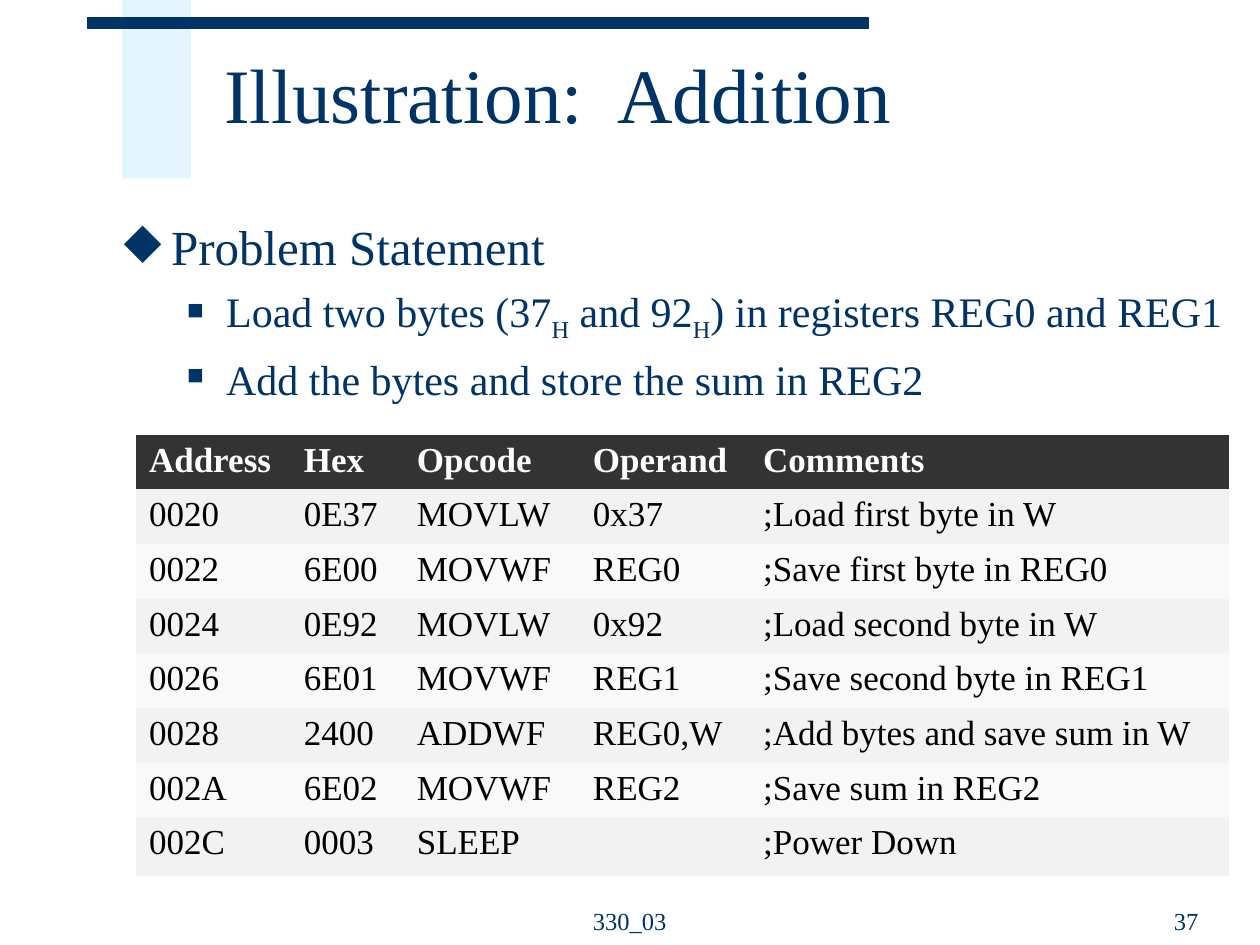
"""Build the addition illustration slide with its problem statement and program table."""
from lxml import etree
from pptx import Presentation
from pptx import util as u
from pptx.dml.color import RGBColor
from pptx.enum import shapes, text
from pptx.oxml.ns import qn

FONT = "Times New Roman"
COLORS = {
    "navy": "003366", "pale": "CCECFF", "header": "333333", "header_text": "FFFFFF",
    "cell_text": "000000", "odd": "F2F2F2", "even": "F9F9F9",
}
TITLE = "Illustration:  Addition"
STATEMENT = [
    (0, ["Problem Statement"]),
    (1, ["Load two bytes (37", "H", " and 92", "H", ") in registers REG0 and REG1"]),
    (1, ["Add the bytes and store the sum in REG2"]),
]
LEVELS = [
    {"size": 28, "before": 7, "margin": 0.95, "hanging": 0.95, "bullet": "◆", "scale": 100},
    {"size": 24, "before": 6, "margin": 2.06, "hanging": 0.79, "bullet": "■", "scale": 55},
]
PROGRAM = [
    ("Address", "Hex", "Opcode", "Operand", "Comments"),
    ("0020", "0E37", "MOVLW", "0x37", ";Load first byte in W"),
    ("0022", "6E00", "MOVWF", "REG0", ";Save first byte in REG0"),
    ("0024", "0E92", "MOVLW", "0x92", ";Load second byte in W"),
    ("0026", "6E01", "MOVWF", "REG1", ";Save second byte in REG1"),
    ("0028", "2400", "ADDWF", "REG0,W", ";Add bytes and save sum in W"),
    ("002A", "6E02", "MOVWF", "REG2", ";Save sum in REG2"),
    ("002C", "0003", "SLEEP", "", ";Power Down"),
]
COLUMN_WIDTHS = [3.12, 2.28, 3.55, 3.43, 9.64]
ROW_HEIGHT, LAST_ROW_HEIGHT = 1.1, 1.18
FOOTERS = [
    ("330_03", (10.37, 17.71, 4.65, 1.27), text.PP_ALIGN.CENTER),
    ("37", (18.31, 17.71, 6.1, 1.27), text.PP_ALIGN.RIGHT),
]


def color(name):
    return RGBColor.from_string(COLORS[name])


def lengths(box):
    return [u.Cm(value) for value in box]


def format_runs(paragraph, size, color_name="navy", bold=False):
    for run in paragraph.runs:
        run.font.name = FONT
        run.font.size = u.Pt(size)
        run.font.bold = bold
        run.font.color.rgb = color(color_name)


def add_bar(slide, box, color_name, opacity=100):
    shape = slide.shapes.add_shape(shapes.MSO_SHAPE.RECTANGLE, *lengths(box))
    shape.shadow.inherit = False
    shape.fill.solid()
    shape.fill.fore_color.rgb = color(color_name)
    shape.line.fill.background()
    if opacity < 100:
        fill_color = shape.fill._xPr.find(qn("a:solidFill"))[0]
        etree.SubElement(fill_color, qn("a:alpha"), val=str(opacity * 1000))
    return shape


def add_text_box(slide, box, anchor):
    frame = slide.shapes.add_textbox(*lengths(box)).text_frame
    frame.word_wrap = True
    frame.vertical_anchor = anchor
    return frame


def add_line(slide, content, box, anchor, size, alignment):
    frame = add_text_box(slide, box, anchor)
    frame.text = content
    paragraph = frame.paragraphs[0]
    paragraph.alignment = alignment
    format_runs(paragraph, size)
    return paragraph


def add_bullet(paragraph, level):
    properties = paragraph._p.get_or_add_pPr()
    properties.set("marL", str(u.Cm(level["margin"])))
    properties.set("indent", str(-u.Cm(level["hanging"])))
    bullet_color = etree.SubElement(properties, qn("a:buClr"))
    etree.SubElement(bullet_color, qn("a:srgbClr"), val=COLORS["navy"])
    etree.SubElement(properties, qn("a:buSzPct"), val=str(level["scale"] * 1000))
    etree.SubElement(properties, qn("a:buChar"), char=level["bullet"])


def add_statement(slide, box):
    frame = add_text_box(slide, box, text.MSO_ANCHOR.TOP)
    for index, (depth, parts) in enumerate(STATEMENT):
        level = LEVELS[depth]
        paragraph = frame.add_paragraph() if index else frame.paragraphs[0]
        paragraph.level = depth
        paragraph.space_before = u.Pt(level["before"])
        add_bullet(paragraph, level)
        for part in parts:
            paragraph.add_run().text = part
        format_runs(paragraph, level["size"])
        for subscript in paragraph.runs[1::2]:
            subscript.font._element.set("baseline", "-25000")


def clear_borders(cell):
    properties = cell._tc.get_or_add_tcPr()
    for position, side in enumerate(("lnL", "lnR", "lnT", "lnB")):
        border = etree.Element(qn(f"a:{side}"), w="0")
        etree.SubElement(border, qn("a:noFill"))
        properties.insert(position, border)


def add_program(slide, left, top):
    heights = [ROW_HEIGHT] * (len(PROGRAM) - 1) + [LAST_ROW_HEIGHT]
    box = (left, top, sum(COLUMN_WIDTHS), sum(heights))
    table = slide.shapes.add_table(len(PROGRAM), len(COLUMN_WIDTHS), *lengths(box)).table
    for column, width in zip(table.columns, COLUMN_WIDTHS):
        column.width = u.Cm(width)
    for index, (row, height, values) in enumerate(zip(table.rows, heights, PROGRAM)):
        row.height = u.Cm(height)
        is_header = index == 0
        fill = "header" if is_header else "odd" if index % 2 else "even"
        for cell, value in zip(row.cells, values):
            cell.text = value
            cell.fill.solid()
            cell.fill.fore_color.rgb = color(fill)
            clear_borders(cell)
            text_color = "header_text" if is_header else "cell_text"
            format_runs(cell.text_frame.paragraphs[0], 20, text_color, is_header)


def main():
    presentation = Presentation()
    presentation.slide_width, presentation.slide_height = u.Cm(25.4), u.Cm(19.05)
    slide = presentation.slides.add_slide(presentation.slide_layouts[6])
    add_bar(slide, (2.47, 0, 1.38, 3.6), "pale", opacity=50)
    top_bar = add_bar(slide, (1.77, 0.36, 15.73, 0.22), "navy")
    top_bar.line.color.rgb = color("navy")
    top_bar.line.width = u.Pt(0.75)
    title = add_line(slide, TITLE, (4.27, 0.43, 20.5, 3.18), text.MSO_ANCHOR.MIDDLE,
                     44, text.PP_ALIGN.LEFT)
    title.line_spacing = 0.85
    add_statement(slide, (2.25, 4.24, 23.15, 4.65))
    for content, box, alignment in FOOTERS:
        add_line(slide, content, box, text.MSO_ANCHOR.BOTTOM, 14, alignment)
    add_program(slide, 2.75, 8.76)
    presentation.save("out.pptx")


if __name__ == "__main__":
    main()
